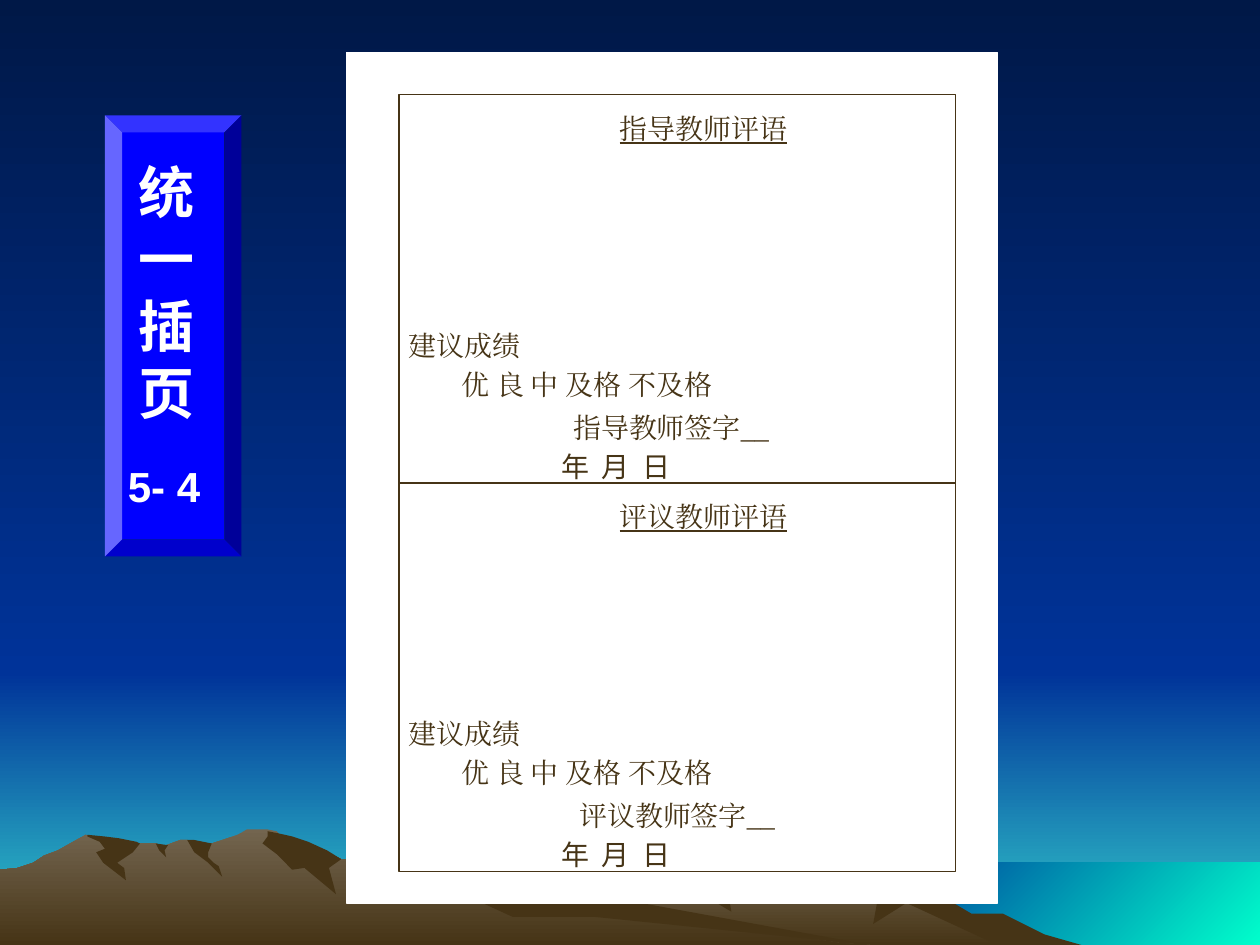
from dataclasses import dataclass

from lxml import etree
from pptx import Presentation
from pptx.dml.color import RGBColor
from pptx.enum.shapes import MSO_SHAPE
from pptx.enum.text import PP_ALIGN
from pptx.oxml.ns import qn
from pptx.util import Pt

RECTANGLE, BEVEL = MSO_SHAPE.RECTANGLE, MSO_SHAPE.BEVEL
LEFT, CENTER = PP_ALIGN.LEFT, PP_ALIGN.CENTER


@dataclass(frozen=True)
class Theme:
    night: str = "001847"
    royal: str = "003399"
    horizon: str = "33CCCC"
    lagoon: str = "00FFCC"
    earth: str = "463416"
    far_rock: str = "847864"
    near_rock: str = "73654F"
    banner: str = "0000FF"
    white: str = "FFFFFF"
    serif: str = "Times New Roman"
    sans: str = "Arial"
    chinese: str = "Noto Sans CJK SC"
    form_size: float = 16
    banner_size: float = 32
    number_size: float = 24
    outline: float = 0.75


THEME = Theme()
DOWN, TO_UPPER_LEFT = 270, 135

FAR_RANGE = [
    (577, 59), (560, 50), (550, 47), (521, 29), (505, 9), (493, 1), (487, 6), (472, 9),
    (453, 9), (441, 17), (408, 28), (386, 23), (381, 13), (379, 11), (366, 8), (350, 11),
    (341, 2), (339, 0), (335, 0), (324, 4), (315, 9), (305, 10), (292, 17), (284, 19),
    (256, 29), (235, 37), (199, 58), (186, 66), (591, 66)]
FAR_SHADOWS = [
    [(573, 48), (555, 48), (528, 32), (509, 9), (493, 1), (496, 4), (493, 9), (498, 16),
     (503, 32), (499, 54), (518, 42), (570, 66), (618, 66), (597, 60)],
    [(339, 0), (341, 3), (338, 4), (337, 9), (340, 16), (341, 23), (335, 50), (341, 33),
     (345, 30), (351, 18), (353, 17), (353, 13), (358, 9), (355, 9)],
    [(381, 13), (380, 14), (379, 18), (386, 28), (418, 47), (415, 30), (426, 22),
     (410, 24), (390, 19)]]
NEAR_RANGE = [
    (497, 66), (480, 65), (311, 39), (255, 5), (238, 4), (235, 7), (233, 7), (229, 4),
    (213, 13), (201, 17), (195, 17), (187, 13), (170, 17), (161, 4), (158, 1), (153, 0),
    (141, 0), (136, 3), (130, 5), (121, 8), (115, 9), (107, 6), (103, 6), (95, 9),
    (92, 9), (89, 8), (80, 8), (68, 9), (49, 3), (40, 8), (33, 12), (25, 15), (19, 19),
    (10, 22), (0, 23), (0, 66)]
NEAR_SHADOWS = [
    [(153, 4), (150, 8), (158, 14), (167, 23), (174, 22), (192, 37), (188, 22), (195, 17),
     (187, 12), (176, 7), (167, 4), (158, 2), (153, 1)],
    [(266, 7), (260, 6), (255, 5), (248, 5), (244, 8), (243, 21), (251, 18), (254, 22),
     (261, 24), (269, 39), (293, 50), (340, 50), (497, 66), (328, 35), (307, 24),
     (296, 19), (289, 17), (278, 12)],
    [(111, 6), (116, 7), (121, 8), (119, 13), (119, 16), (122, 19), (125, 21), (127, 27),
     (119, 19), (111, 13), (107, 6)],
    [(96, 9), (94, 12), (95, 16), (91, 12), (89, 8)],
    [(78, 7), (80, 8), (76, 13), (67, 19), (71, 22), (72, 29), (59, 19), (55, 13),
     (60, 11), (57, 7), (50, 4), (50, 3), (60, 4), (68, 5)]]


def rgb(value):
    return RGBColor.from_string(value)


def paint(fill, start, end=None, angle=DOWN):
    if end is None:
        fill.solid()
        fill.fore_color.rgb = rgb(start)
        return
    fill.gradient()
    fill.gradient_angle = angle
    for stop, color in zip(fill.gradient_stops, (start, end)):
        stop.color.rgb = rgb(color)


def add_block(slide, box, preset=RECTANGLE, outline=None):
    block = slide.shapes.add_shape(preset, *map(Pt, box))
    block.shadow.inherit = False
    if outline:
        block.line.color.rgb = rgb(outline)
        block.line.width = Pt(THEME.outline)
    else:
        block.line.fill.background()
    return block


def add_rock(slide, origin, outline, *colors):
    left, top = origin
    corners = [(Pt(left + x), Pt(top + y)) for x, y in outline]
    builder = slide.shapes.build_freeform(*corners[0], scale=1.0)
    builder.add_line_segments(corners[1:], close=True)
    rock = builder.convert_to_shape()
    rock.shadow.inherit = False
    rock.line.fill.background()
    paint(rock.fill, *colors)


def add_frame(slide, box, top_margin):
    frame = slide.shapes.add_textbox(*map(Pt, box)).text_frame
    frame.word_wrap = True
    frame.margin_top = Pt(top_margin)
    return frame


def style(paragraph, face, size, color, bold=False, underline=False, tracking=0):
    for run in paragraph.runs:
        run.font.name = face
        run.font.size = Pt(size)
        run.font.color.rgb = rgb(color)
        run.font.bold = bold
        run.font.underline = underline
        properties = run.font._element
        etree.SubElement(properties, qn("a:ea")).set("typeface", face)
        if tracking:
            properties.set("spc", str(tracking))


def draw_landscape(slide, box):
    left, top, width, height = box
    horizon, lake_left, lake_top, range_top = 384, 492, 493, 474
    paint(slide.background.fill, THEME.night, THEME.royal)
    low_sky = add_block(slide, (left, top + horizon, width, height - horizon))
    paint(low_sky.fill, THEME.royal, THEME.horizon)
    high_sky = add_block(slide, (left, top, width, horizon))
    paint(high_sky.fill, THEME.night, THEME.royal)
    lake = add_block(slide, (left + lake_left, top + lake_top,
                             width - lake_left, height - lake_top))
    paint(lake.fill, THEME.lagoon, THEME.royal, TO_UPPER_LEFT)
    origin = (left, top + range_top)
    for rock, crest, shadows in ((FAR_RANGE, THEME.far_rock, FAR_SHADOWS),
                                 (NEAR_RANGE, THEME.near_rock, NEAR_SHADOWS)):
        add_rock(slide, origin, rock, crest, THEME.earth)
        for shadow in shadows:
            add_rock(slide, origin, shadow, THEME.earth)


def draw_banner(slide, box):
    left, top, width, height = box
    plate = add_block(slide, box, BEVEL)
    plate.adjustments[0] = 0.125
    paint(plate.fill, THEME.banner)
    heading = add_frame(slide, (left + 12, top + 18, 54, 161), 6).paragraphs[0]
    heading.text = "统一插页"
    heading.line_spacing = Pt(38.3)
    style(heading, THEME.sans, THEME.banner_size, THEME.white, bold=True)
    number = add_frame(slide, (left + 6, top + 192, 72, 36), 5).paragraphs[0]
    number.text = "5- 4"
    style(number, THEME.sans, THEME.number_size, THEME.white, bold=True)


def draw_form(slide, box, reviewers):
    left, top, width, height = box
    paper = add_block(slide, box, outline=THEME.white)
    paint(paper.fill, THEME.white)
    frame = add_frame(slide, (left + 24, top, 360, 470), 34)
    panel_height = 222
    for index, (reviewer, sign_indent) in enumerate(reviewers):
        lines = (
            (f"{reviewer}评语", CENTER, 0, 0),
            ("建议成绩", LEFT, 4.6, 105),
            ("优 良 中 及格 不及格", LEFT, 34.5, 3.3),
            (f"{reviewer}签字__", LEFT, sign_indent, 5.6),
            ("年 月 日", LEFT, 92, 3.3))
        for text, alignment, indent, gap in lines:
            first = index == 0 and alignment == CENTER
            line = frame.paragraphs[0] if first else frame.add_paragraph()
            line.text = text
            line.alignment = alignment
            line.line_spacing = Pt(19)
            line.space_before = Pt(gap)
            line._p.get_or_add_pPr().set("marL", str(Pt(indent)))
            is_date = text == lines[-1][0]
            style(line, THEME.chinese if is_date else THEME.serif, THEME.form_size,
                  THEME.earth, underline=alignment == CENTER,
                  tracking=170 if is_date else 0)
        line.space_after = Pt(9.6)
        panel = add_block(slide, (left + 30, top + 24 + index * panel_height,
                                  width - 54, panel_height), outline=THEME.earth)
        panel.fill.background()


def main():
    deck = Presentation()
    deck.slide_width, deck.slide_height = Pt(720), Pt(540)
    slide = deck.slides.add_slide(deck.slide_layouts[6])
    draw_landscape(slide, (0, 0, 720, 540))
    draw_banner(slide, (60, 66, 78, 252))
    draw_form(slide, (198, 30, 372, 486), (("指导教师", 98.5), ("评议教师", 102)))
    deck.save("out.pptx")


if __name__ == "__main__":
    main()
